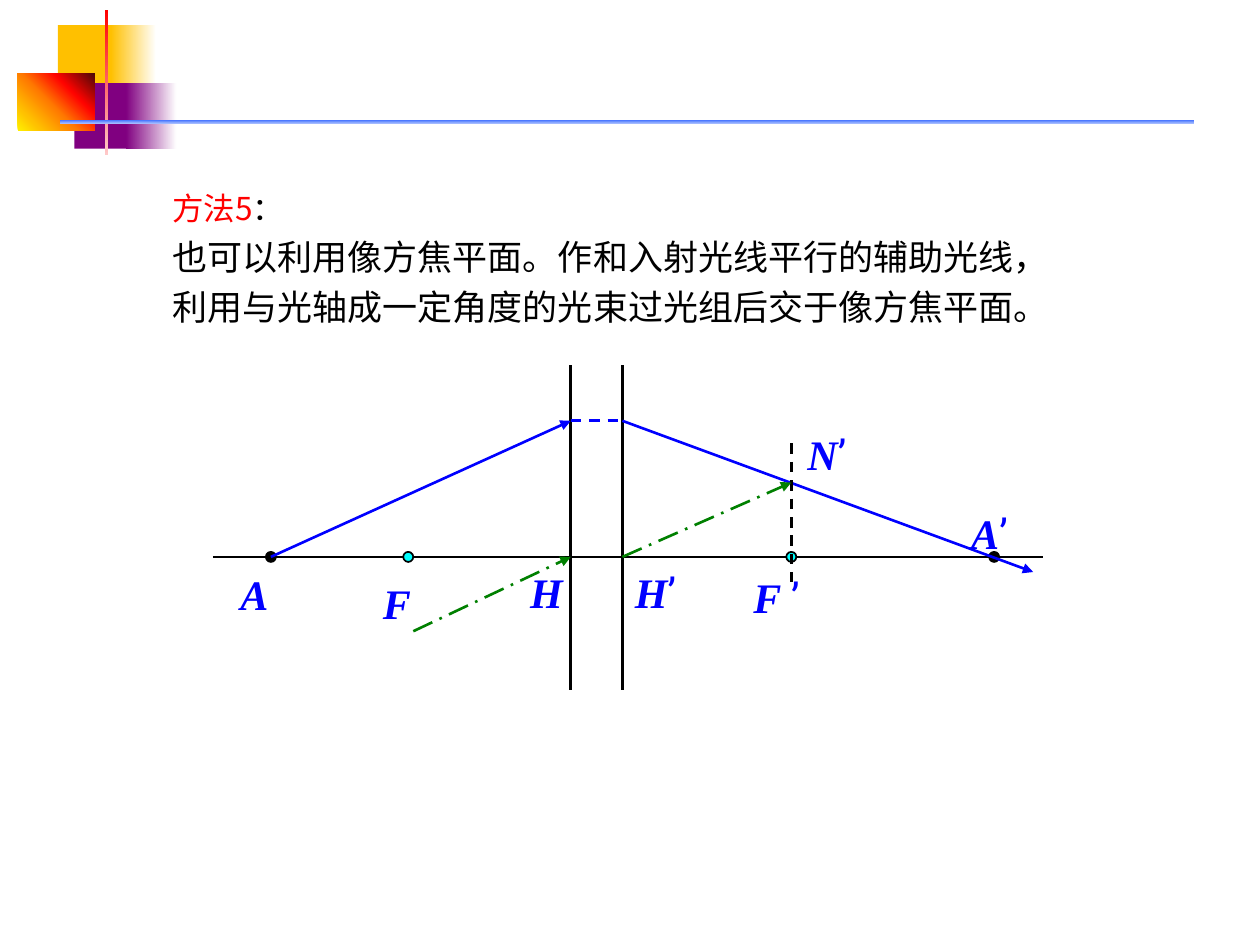
from pptx import Presentation
from pptx.dml.color import RGBColor
from pptx.enum.dml import MSO_LINE
from pptx.enum.shapes import MSO_CONNECTOR, MSO_SHAPE
from pptx.oxml import parse_xml
from pptx.oxml.ns import qn
from pptx.util import Inches, Pt
from lxml import etree

RECTANGLE, OVAL = MSO_SHAPE.RECTANGLE, MSO_SHAPE.OVAL
STRAIGHT = MSO_CONNECTOR.STRAIGHT
DASH, DASH_DOT = MSO_LINE.DASH, MSO_LINE.LONG_DASH_DOT
DRAWING = "http://schemas.openxmlformats.org/drawingml/2006/main"
BLACK, BLUE, GREEN, CYAN, RED = "000000", "0000FF", "008000", "00FFFF", "FF0000"
LATIN, CHINESE, PRIME = "Times New Roman", "Noto Sans CJK SC", "Roboto"
SLIDE_WIDTH, SLIDE_HEIGHT = Inches(10), Inches(7.5)
COLUMN, ROW = SLIDE_WIDTH // 1000, SLIDE_HEIGHT // 750


def color(value):
    return RGBColor.from_string(value)


def place(box, x, y):
    return (box[0] + x) * COLUMN, (box[1] + y) * ROW


def add_block(slide, box, area, fill, kind=RECTANGLE, outline=None):
    x, y, width, height = area
    block = slide.shapes.add_shape(kind, *place(box, x, y), width * COLUMN, height * ROW)
    block.shadow.inherit = False
    block.fill.solid()
    block.fill.fore_color.rgb = color(fill)
    if outline:
        block.line.color.rgb = color(outline)
        block.line.width = Pt(1)
    else:
        block.line.fill.background()
    return block


def add_gradient_block(slide, box, area, stops, angle):
    block = add_block(slide, box, area, stops[0][1])
    marks = "".join(
        f'<a:gs pos="{share * 1000}"><a:srgbClr val="{value}"/></a:gs>'
        for share, value in stops
    )
    gradient = parse_xml(
        f'<a:gradFill xmlns:a="{DRAWING}" rotWithShape="1"><a:gsLst>{marks}</a:gsLst>'
        f'<a:lin ang="{angle * 60000}" scaled="0"/></a:gradFill>'
    )
    properties = block._element.spPr
    properties.replace(properties.find(qn("a:solidFill")), gradient)


def add_line(slide, box, start, end, value=BLACK, dash=None, arrow=False):
    line = slide.shapes.add_connector(STRAIGHT, *place(box, *start), *place(box, *end))
    line.line.color.rgb = color(value)
    line.line.width = Pt(1.5)
    if dash:
        line.line.dash_style = dash
    if arrow:
        etree.SubElement(line.line._get_or_add_ln(), qn("a:tailEnd"), type="triangle")
    etree.SubElement(line._element.spPr, qn("a:effectLst"))


def add_text(paragraph, text, font, size, value, bold=False, italic=False):
    run = paragraph.add_run()
    run.text = text
    run.font.name = font
    run.font.size = Pt(size)
    run.font.color.rgb = color(value)
    run.font.bold = bold
    run.font.italic = italic
    etree.SubElement(run.font._element, qn("a:ea"), typeface=font)


def add_text_frame(slide, box, area):
    x, y, width, height = area
    frame = slide.shapes.add_textbox(
        *place(box, x, y), width * COLUMN, height * ROW
    ).text_frame
    frame.word_wrap = True
    return frame


def add_point_label(slide, box, position, letter, prime=""):
    frame = add_text_frame(slide, box, (*position, 75, 50))
    frame.margin_top = Inches(0.08)
    paragraph = frame.paragraphs[0]
    add_text(paragraph, letter, LATIN, 24, BLUE, bold=True, italic=True)
    if prime:
        add_text(paragraph, prime, PRIME, 24, BLUE)


def draw_ornament(slide, box):
    add_block(slide, box, (32, 12, 48, 52), "FFC000")
    add_gradient_block(slide, box, (74, 12, 36, 52), [(0, "FFC000"), (100, "FFFFFF")], 0)
    add_block(slide, box, (45, 58, 46, 52), "800080")
    add_gradient_block(slide, box, (86, 58, 40, 52), [(0, "800080"), (100, "FFFFFF")], 0)
    flame = [(0, "FFF200"), (45, "FF7A00"), (70, "FF0300"), (100, "4D0808")]
    add_gradient_block(slide, box, (0, 50, 61, 46), flame, 315)
    add_gradient_block(slide, box, (69, 0, 3, 115), [(0, RED), (100, "FFC9C9")], 90)
    add_gradient_block(slide, box, (34, 87, 900, 3), [(0, "3366FF"), (100, "A2B9FF")], 90)


def write_method(slide, box):
    frame = add_text_frame(slide, box, (0, 0, 740, 127))
    heading, explanation = frame.paragraphs[0], frame.add_paragraph()
    heading.line_spacing = explanation.line_spacing = 1.2
    add_text(heading, "方法5", CHINESE, 18, RED)
    add_text(heading, "：", CHINESE, 18, BLACK)
    add_text(
        explanation,
        "也可以利用像方焦平面。作和入射光线平行的辅助光线，"
        "利用与光轴成一定角度的光束过光组后交于像方焦平面。",
        CHINESE, 20, BLACK,
    )


def draw_ray_diagram(slide, box):
    axis, ray_height, focal_height = 152, 44, 93
    object_point, object_focus, object_plane = 46, 155, 284
    image_plane, image_focus, image_point = 325, 459, 620

    add_line(slide, box, (0, axis), (659, axis))
    for plane in (object_plane, image_plane):
        add_line(slide, box, (plane, 0), (plane, 258))
    for point, fill in (
        (object_focus, CYAN), (image_focus, CYAN),
        (object_point, BLACK), (image_point, BLACK),
    ):
        add_block(slide, box, (point - 4, axis - 4, 8, 8), fill, OVAL, BLACK)

    add_line(slide, box, (object_point, axis), (object_plane, ray_height), BLUE, arrow=True)
    add_line(slide, box, (object_plane, ray_height), (image_plane, ray_height), BLUE, DASH)
    add_line(slide, box, (image_plane, ray_height), (651, 164), BLUE, arrow=True)
    add_line(slide, box, (159, 211), (object_plane, axis), GREEN, DASH_DOT, True)
    add_line(slide, box, (image_focus, 62), (image_focus, 172), BLACK, DASH)
    add_line(slide, box, (image_plane, axis), (image_focus, focal_height), GREEN, DASH_DOT, True)

    for position, letter, prime in (
        ((12, 153), "A", ""), ((592, 105), "A", "’"),
        ((125, 160), "F", ""), ((419, 156), "F ", "’"),
        ((242, 152), "H", ""), ((325, 152), "H", "’"),
        ((462, 42), "N", "’"),
    ):
        add_point_label(slide, box, position, letter, prime)


def main():
    presentation = Presentation()
    presentation.slide_width, presentation.slide_height = SLIDE_WIDTH, SLIDE_HEIGHT
    slide = presentation.slides.add_slide(presentation.slide_layouts[6])
    draw_ornament(slide, (14, 8))
    draw_ray_diagram(slide, (169, 290))
    write_method(slide, (127, 139))
    presentation.save("out.pptx")


if __name__ == "__main__":
    main()
